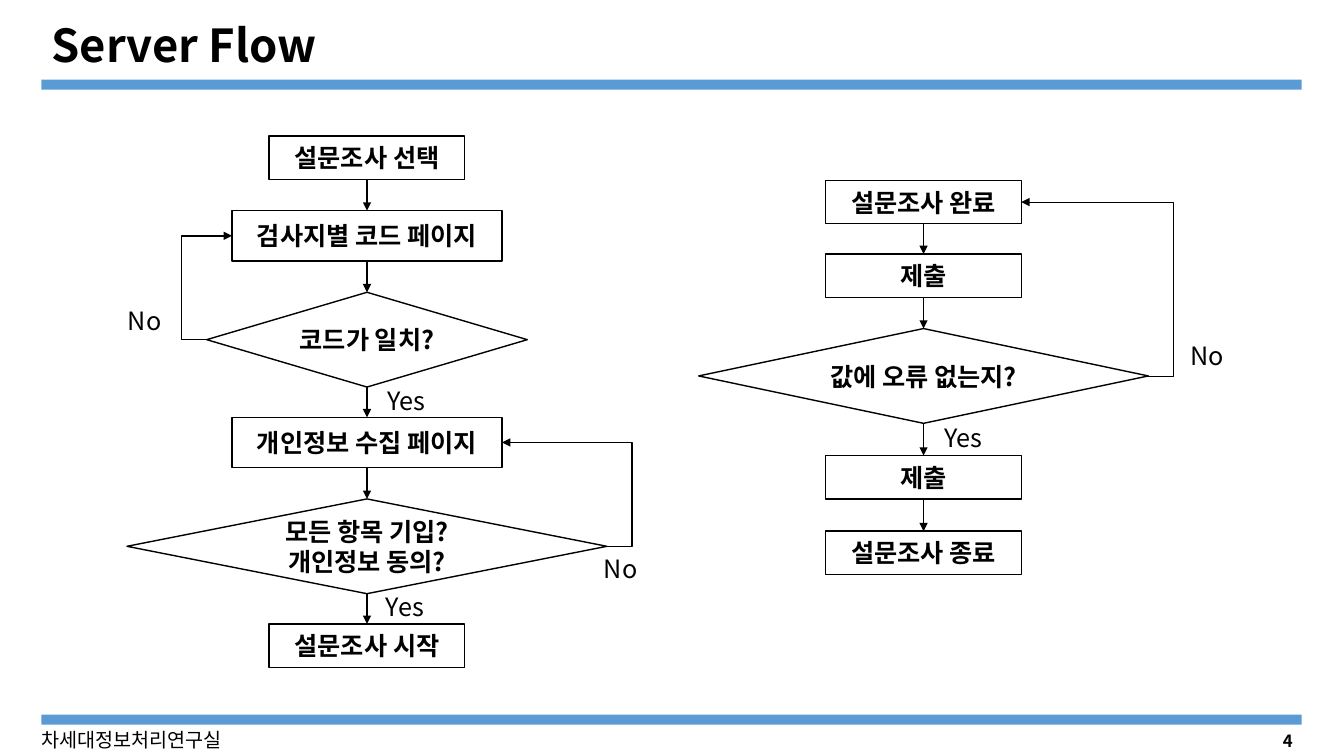
from lxml.etree import SubElement
from pptx import Presentation
from pptx.dml.color import RGBColor
from pptx.enum.shapes import MSO_CONNECTOR as LINK, MSO_SHAPE as SHAPE
from pptx.enum.text import MSO_ANCHOR as ANCHOR, PP_ALIGN as ALIGN
from pptx.oxml.ns import qn
from pptx.util import Pt

PX = 9144  # 100 px to the inch
FONT = "Noto Sans CJK KR"
TOP, LEFT, BOTTOM, RIGHT = range(4)  # connection sites


def color(value):
    return RGBColor.from_string(value)


def write(shape, text, size, bold=False, align=ALIGN.LEFT, anchor=ANCHOR.TOP):
    tf = shape.text_frame
    tf.text = text
    tf.word_wrap = True
    tf.vertical_anchor = anchor
    for p in tf.paragraphs:
        p.alignment = align
        f = p.font
        f.name, f.size, f.bold = FONT, Pt(size), bold
        f.color.rgb = color("000000")
        SubElement(p._p.pPr.find(qn("a:defRPr")), qn("a:ea"), typeface=FONT)


prs = Presentation()
prs.slide_width, prs.slide_height = 1333 * PX, 750 * PX
s = prs.slides.add_slide(prs.slide_layouts[5])

# Title, bars and footer
for y in (79, 709):
    bar = s.shapes.add_shape(SHAPE.RECTANGLE, 41 * PX, y * PX, 1250 * PX, 10 * PX)
    bar.shadow.inherit = False
    bar.fill.solid()
    bar.fill.fore_color.rgb = color("5B9BD5")
    bar.line.fill.background()

title = s.shapes.title
title.left, title.top, title.width, title.height = 41 * PX, 16 * PX, 1001 * PX, 62 * PX
write(title, "Server Flow", 32.4, True, anchor=ANCHOR.MIDDLE)
title.text_frame.paragraphs[0].line_spacing = 0.9

lab = s.shapes.add_textbox(31 * PX, 717 * PX, 274 * PX, 34 * PX)
write(lab, "차세대정보처리연구실", 14)
number = s.shapes.add_textbox(992 * PX, 720 * PX, 300 * PX, 30 * PX)
write(number, "4", 12, True, ALIGN.RIGHT, ANCHOR.MIDDLE)

# Flow columns: centre x, then (kind, text, top, width, height) of each step
BOX, CHECK = SHAPE.RECTANGLE, SHAPE.FLOWCHART_DECISION
columns = [
    (364, [
        (BOX, "설문조사 선택", 135, 194, 43),
        (BOX, "검사지별 코드 페이지", 209, 268, 50),
        (CHECK, "코드가 일치?", 290, 318, 94),
        (BOX, "개인정보 수집 페이지", 414, 268, 50),
        (CHECK, "모든 항목 기입?\n개인정보 동의?", 495, 476, 94),
        (BOX, "설문조사 시작", 619, 194, 43),
    ]),
    (916, [
        (BOX, "설문조사 완료", 179, 194, 43),
        (BOX, "제출", 252, 194, 43),
        (CHECK, "값에 오류 없는지?", 326, 446, 94),
        (BOX, "제출", 452, 194, 43),
        (BOX, "설문조사 종료", 527, 194, 43),
    ]),
]
flows = []
for center, steps in columns:
    flow = []
    for kind, text, y, w, h in steps:
        step = s.shapes.add_shape(kind, (center - w // 2) * PX, y * PX, w * PX, h * PX)
        step.shadow.inherit = False
        step.fill.solid()
        step.fill.fore_color.rgb = color("FFFFFF")
        step.line.color.rgb = color("000000")
        step.line.width = Pt(1)
        write(step, text, 18, True, ALIGN.CENTER, ANCHOR.MIDDLE)
        tf = step.text_frame
        tf.margin_left = tf.margin_right = tf.margin_top = tf.margin_bottom = 0
        flow.append(step)
    flows.append(flow)

# Arrows: down each column, then back from the failed checks
survey, submit = flows
links = [(LINK.STRAIGHT, a, BOTTOM, b, TOP, 1)
         for flow in flows for a, b in zip(flow, flow[1:])]
links += [
    (LINK.ELBOW, survey[2], LEFT, survey[1], LEFT, 1),
    (LINK.ELBOW, survey[4], RIGHT, survey[3], RIGHT, 1),
    (LINK.ELBOW, submit[2], RIGHT, submit[0], RIGHT, 0.5),
]
for kind, start, start_site, end, end_site, width in links:
    arrow = s.shapes.add_connector(kind, 0, 0, 0, 0)
    arrow.begin_connect(start, start_site)
    arrow.end_connect(end, end_site)
    arrow.line.color.rgb = color("000000")
    arrow.line.width = Pt(width)
    SubElement(arrow.line._get_or_add_ln(), qn("a:tailEnd"), type="triangle")
    spPr = arrow._element.spPr
    SubElement(spPr, qn("a:effectLst"))
    if kind == LINK.ELBOW:  # the loop turns 25 px outside the check
        adj = round(-25 * PX / arrow.width * 100000)
        guides = spPr.find(qn("a:prstGeom")).get_or_add_avLst()
        SubElement(guides, qn("a:gd"), name="adj1", fmla=f"val {adj}")

# Answers
for text, x, y in [("Yes", 374, 377), ("No", 117, 298), ("Yes", 373, 582),
                   ("No", 589, 544), ("No", 1171, 333), ("Yes", 927, 414)]:
    write(s.shapes.add_textbox(x * PX, y * PX, 75 * PX, 40 * PX), text, 18)

prs.save("out.pptx")
